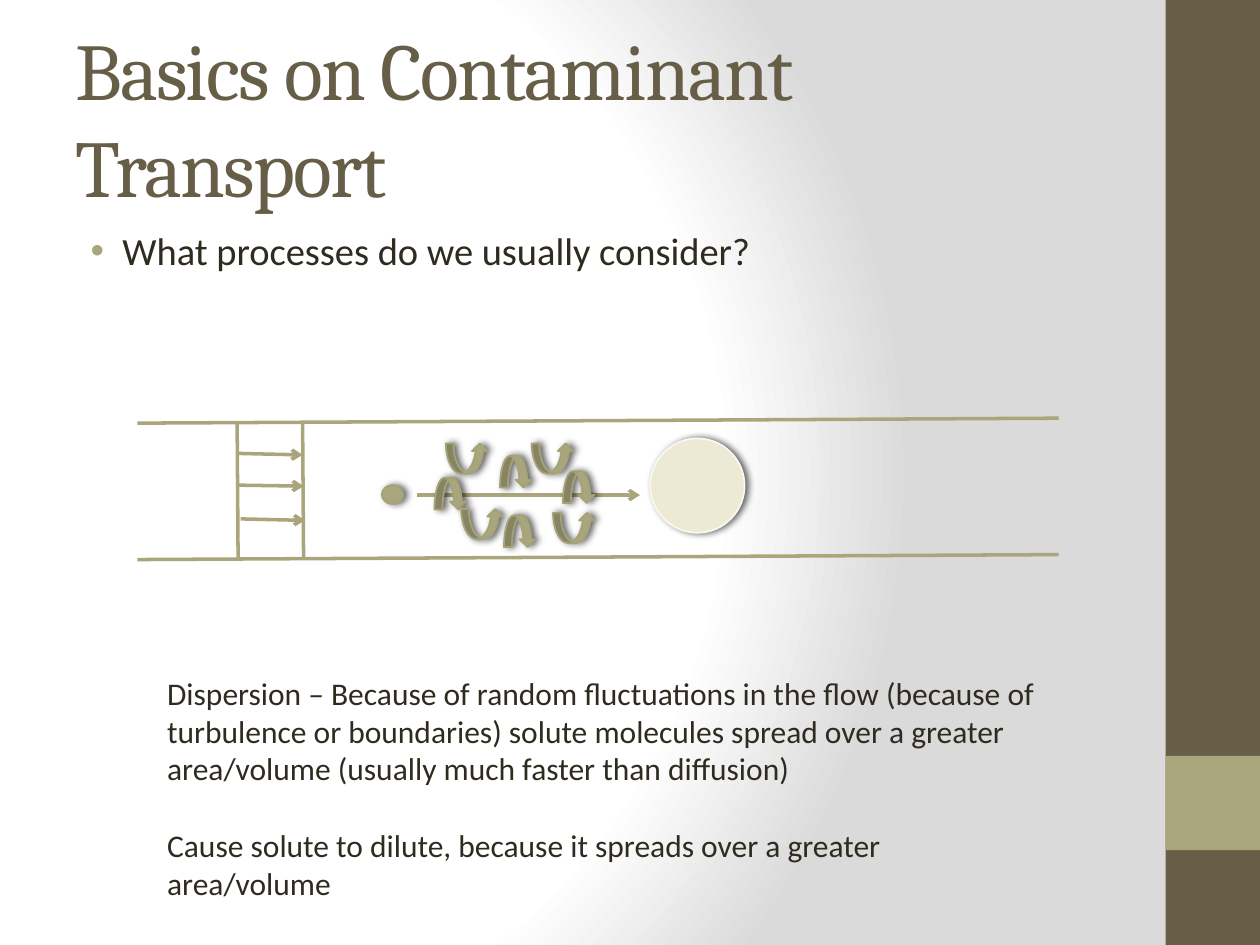
from typing import NamedTuple

from lxml import etree
from pptx import Presentation
from pptx.dml.color import RGBColor
from pptx.enum.shapes import MSO_CONNECTOR, MSO_SHAPE
from pptx.enum.text import MSO_ANCHOR
from pptx.oxml import parse_xml
from pptx.oxml.ns import nsdecls, qn
from pptx.util import Cm, Pt

RECT = MSO_SHAPE.RECTANGLE
OVAL = MSO_SHAPE.OVAL
DOWN = MSO_SHAPE.CURVED_DOWN_ARROW
UP = MSO_SHAPE.CURVED_UP_ARROW
STRAIGHT = MSO_CONNECTOR.STRAIGHT
MIDDLE, TOP = MSO_ANCHOR.MIDDLE, MSO_ANCHOR.TOP

BROWN, OLIVE, INK = "675E47", "A9A57C", "2F2B20"
EDGE, PALE, PALE_EDGE = "A6A278", "ECEAD4", "F9F8F1"


class Box(NamedTuple):
    """Left, top, width and height in centimetres."""
    x: float
    y: float
    w: float
    h: float


class Line(NamedTuple):
    """Start and end in centimetres, with an optional arrowhead."""
    x1: float
    y1: float
    x2: float
    y2: float
    arrow: bool = False


def rgb(value: str) -> RGBColor:
    return RGBColor.from_string(value)


def add_shape(s, kind, box: Box, fill: str, edge: str = "") -> None:
    """Draw a filled shape; an edged one also casts a shadow."""
    sp = s.shapes.add_shape(kind, *map(Cm, box))
    sp.fill.solid()
    sp.fill.fore_color.rgb = rgb(fill)
    if not edge:
        sp.line.fill.background()
    else:
        sp.line.color.rgb = rgb(edge)
        sp.line.width = Pt(1)
    sp.shadow.inherit = False
    if edge:
        effects = sp._element.spPr.find(qn("a:effectLst"))
        effects.append(parse_xml(
            f'<a:outerShdw {nsdecls("a")} blurRad="{Pt(4)}" dist="{Pt(2)}" '
            'dir="0" rotWithShape="0"><a:srgbClr val="000000">'
            '<a:alpha val="60000"/></a:srgbClr></a:outerShdw>'))


def add_line(s, line: Line) -> None:
    cxn = s.shapes.add_connector(STRAIGHT, *map(Cm, line[:4]))
    cxn.line.color.rgb = rgb(OLIVE)
    cxn.line.width = Pt(2)
    spPr = cxn._element.spPr
    if line.arrow:
        etree.SubElement(spPr.find(qn("a:ln")), qn("a:tailEnd"), type="arrow")
    etree.SubElement(spPr, qn("a:effectLst"))


def add_text(s, box: Box, text: str, size: float, color: str,
             font: str = "Calibri", anchor=TOP):
    """Add a wrapped text box, one paragraph for each line of text."""
    tf = s.shapes.add_textbox(*map(Cm, box)).text_frame
    tf.word_wrap = True
    tf.vertical_anchor = anchor
    tf.text = text
    for p in tf.paragraphs:
        for r in p.runs:
            r.font.name = font
            r.font.size = Pt(size)
            r.font.color.rgb = rgb(color)
    return tf


def add_bullet(p, color: str) -> None:
    pPr = p._p.get_or_add_pPr()
    pPr.set("marL", str(Cm(0.95)))
    pPr.set("indent", str(Cm(-0.64)))
    bu = etree.SubElement(pPr, qn("a:buClr"))
    etree.SubElement(bu, qn("a:srgbClr"), val=color)
    etree.SubElement(pPr, qn("a:buFont"), typeface="Arial")
    etree.SubElement(pPr, qn("a:buChar"), char="•")


def set_background(s) -> None:
    """Fill the slide with a circular gradient from white to grey."""
    s.background.fill.solid()
    bgPr = s._element.cSld.find(qn("p:bg")).find(qn("p:bgPr"))
    stops = "".join(f'<a:gs pos="{pos}000"><a:srgbClr val="{color}"/></a:gs>'
                    for pos, color in ((0, "FFFFFF"), (75, "FFFFFF"),
                                       (100, "DADADA")))
    bgPr.replace(bgPr[0], parse_xml(
        f'<a:gradFill {nsdecls("a")} rotWithShape="1"><a:gsLst>{stops}'
        '</a:gsLst><a:path path="circle"><a:fillToRect l="20000" t="50000" '
        'r="100000" b="50000"/></a:path></a:gradFill>'))


CHANNEL = [
    Line(2.77, 8.53, 21.34, 8.43),
    Line(2.77, 11.28, 21.34, 11.18),
    Line(4.78, 8.53, 4.8, 11.28),
    Line(6.1, 8.53, 6.12, 11.28),
]
VELOCITIES = [
    Line(4.8, 9.14, 6.1, 9.17, True),
    Line(4.8, 9.78, 6.12, 9.8, True),
    Line(4.85, 10.46, 6.15, 10.49, True),
]
DOWN_EDDIES = [(8.76, 9.63), (10.08, 9.19), (10.16, 10.39), (11.35, 9.5)]
UP_EDDIES = [(8.99, 8.94), (9.3, 10.26), (10.72, 8.94), (11.15, 10.34)]


def main() -> None:
    prs = Presentation()
    prs.slide_width, prs.slide_height = Cm(25.4), Cm(19.05)
    s = prs.slides.add_slide(prs.slide_layouts[6])

    # Background and side bar
    set_background(s)
    add_shape(s, RECT, Box(23.5, 0, 1.9, 19.05), BROWN)
    add_shape(s, RECT, Box(23.5, 15.24, 1.9, 1.9), OLIVE)

    # Title and question
    title = add_text(s, Box(1.27, 0.76, 21.16, 3.18),
                     "Basics on Contaminant Transport", 46, BROWN,
                     "Cambria", MIDDLE)
    title.paragraphs[0].runs[0].font._element.set("spc", "-100")
    question = add_text(s, Box(1.27, 4.45, 22.86, 1.9),
                        "What processes do we usually consider?", 22, INK)
    add_bullet(question.paragraphs[0], OLIVE)

    # Channel with its velocity profile
    for line in CHANNEL + VELOCITIES:
        add_line(s, line)

    # Solute spreading downstream
    add_shape(s, OVAL, Box(7.7, 9.78, 0.43, 0.38), OLIVE, EDGE)
    add_line(s, Line(8.41, 9.98, 12.9, 9.98, True))
    add_shape(s, OVAL, Box(13.11, 8.84, 1.9, 1.9), PALE, PALE_EDGE)

    # Explanation
    notes = add_text(
        s, Box(3.12, 13.46, 18.24, 4.88),
        "Dispersion – Because of random fluctuations in the flow (because of "
        "turbulence or boundaries) solute molecules spread over a greater "
        "area/volume (usually much faster than diffusion)\n"
        "Cause solute to dilute, because it spreads over a greater "
        "area/volume", 18, INK)
    notes.paragraphs[1].space_before = Pt(22)

    # Turbulent eddies
    for x, y in DOWN_EDDIES:
        add_shape(s, DOWN, Box(x, y, 0.64, 0.64), OLIVE, EDGE)
    for x, y in UP_EDDIES:
        add_shape(s, UP, Box(x, y, 0.84, 0.61), OLIVE, EDGE)

    prs.save("out.pptx")


if __name__ == "__main__":
    main()
